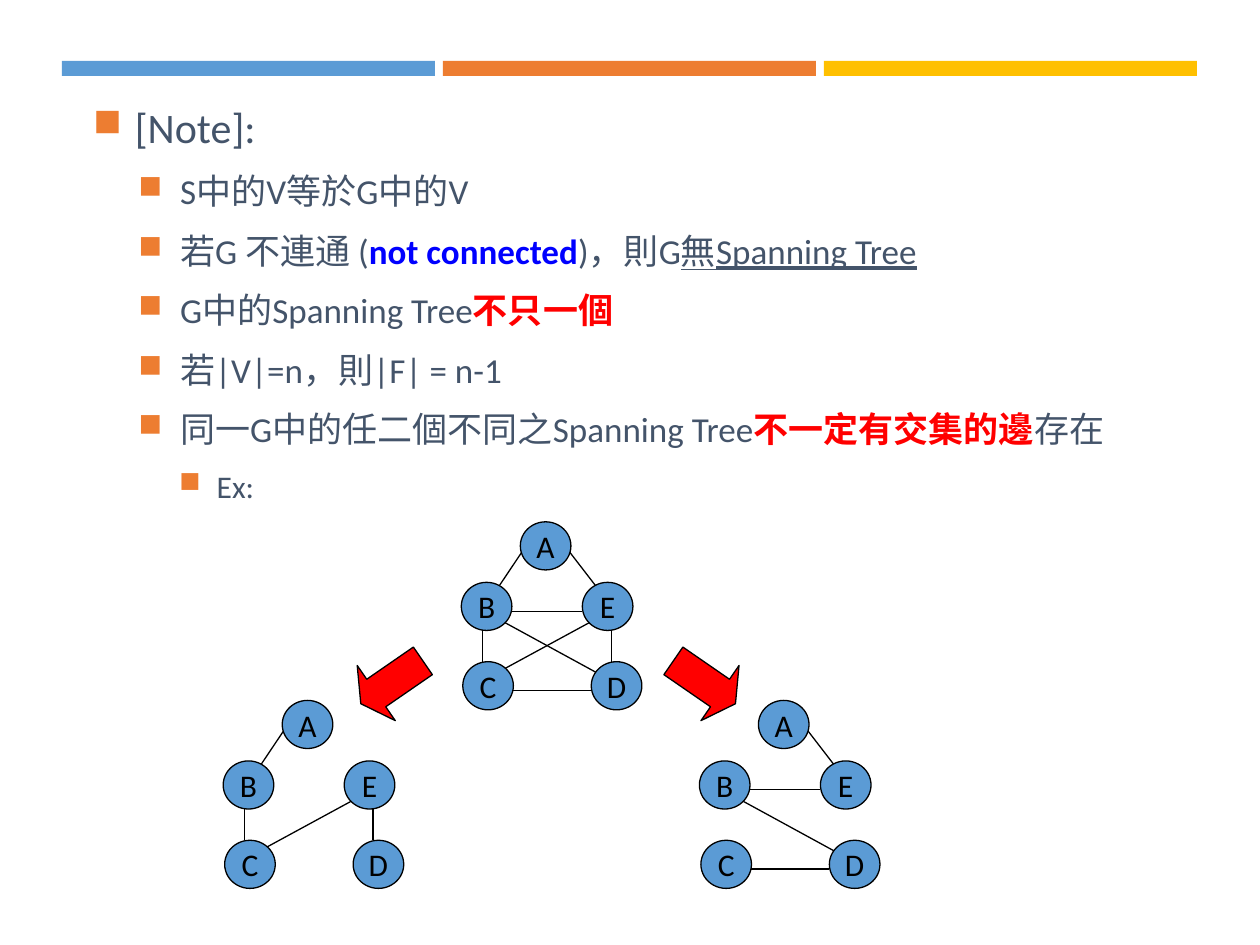
"""Build the slide of notes on spanning trees."""
import pptx
import pptx.util
import pptx.dml.color
import pptx.enum.shapes
import pptx.enum.text
import pptx.oxml.ns
import lxml.etree

Cm, Pt = pptx.util.Cm, pptx.util.Pt
KIND = pptx.enum.shapes.MSO_SHAPE
FONT = "Calibri"
HUES = {"blue": "5B9BD5", "orange": "ED7D31", "gold": "FFC000", "slate": "44546A",
        "link": "0000FF", "red": "FF0000", "black": "000000"}
LEVELS = [(24, 0.84, 0.84), (20, 1.75, 0.84), (18, 2.49, 0.76)]
NOTES = [
    (0, [("[Note]:", "")]),
    (1, [("S中的V等於G中的V", "")]),
    (1, [("若G 不連通 (", ""), ("not connected", "link"), (")，則G", ""),
         ("無Spanning Tree", "under")]),
    (1, [("G中的Spanning Tree", ""), ("不只一個", "red")]),
    (1, [("若|V|=n，則|F| = n-1", "")]),
    (1, [("同一G中的任二個不同之Spanning Tree", ""), ("不一定有交集的邊", "red"), ("存在", "")]),
    (2, [("Ex:", "")]),
]
NODES = {"A": (1.19, 0), "B": (0, 1.22), "C": (0.03, 2.82), "D": (2.62, 2.82),
         "E": (2.44, 1.22)}
EDGES = {"CD": (2.62, 3.4, 1.02, 3.4), "DE": (3.02, 2.82, 3.02, 2.01),
         "BC": (0.43, 2.82, 0.43, 2.01), "CE": (2.62, 2.01, 0.43, 3.2),
         "BD": (0.84, 2.01, 3.02, 3.2), "BE": (2.44, 1.8, 0.84, 1.8),
         "AE": (2.03, 0.41, 2.97, 1.63), "AB": (1.22, 0.61, 0.71, 1.37)}


def tint(name):
    """Return the named colour."""
    return pptx.dml.color.RGBColor.from_string(HUES[name])


def add_form(shapes, kind, box, fill, line=True):
    """Add a filled preset shape, outlined in black if asked."""
    form = shapes.add_shape(kind, *map(Cm, box))
    form.shadow.inherit = False
    form.fill.solid()
    form.fill.fore_color.rgb = tint(fill)
    if line:
        form.line.color.rgb = tint("black")
        form.line.width = Pt(0.75)
    else:
        form.line.fill.background()
    return form


def add_run(para, text, size, hue):
    """Add one run of text."""
    run = para.add_run()
    run.text = text
    run.font.name = FONT
    run.font.size = Pt(size)
    run.font.color.rgb = tint(hue)
    return run


def add_bars(shapes, left, top, width, height):
    """Place three equal bars across the box."""
    gap = 0.16
    wide = (width - 2 * gap) / 3
    for num, hue in enumerate(("blue", "orange", "gold")):
        box = (left + num * (wide + gap), top, wide, height)
        add_form(shapes, KIND.RECTANGLE, box, hue, False)


def set_bullet(para, left, hang):
    """Give a paragraph a square bullet and a hanging indent."""
    props = para._p.get_or_add_pPr()
    props.set("marL", str(Cm(left)))
    props.set("indent", str(-Cm(hang)))
    tag = pptx.oxml.ns.qn
    color = lxml.etree.SubElement(props, tag("a:buClr"))
    lxml.etree.SubElement(color, tag("a:srgbClr"), val=HUES["orange"])
    lxml.etree.SubElement(props, tag("a:buSzPct"), val="92000")
    lxml.etree.SubElement(props, tag("a:buChar"), char="■")


def add_notes(shapes, box):
    """Write the bulleted notes in the box."""
    frame = shapes.add_textbox(*map(Cm, box)).text_frame
    frame.word_wrap = True
    for num, (level, parts) in enumerate(NOTES):
        para = frame.add_paragraph() if num else frame.paragraphs[0]
        size, left, hang = LEVELS[level]
        para.level = level
        set_bullet(para, left, hang)
        para.space_before = Pt(size * 0.2 if num else 0)
        para.space_after = Pt(6)
        for text, style in parts:
            strong = style in ("link", "red")
            run = add_run(para, text, size, style if strong else "slate")
            run.font.bold = strong
            run.font.underline = style == "under"


def add_graph(shapes, left, top, edges):
    """Draw the five nodes and the chosen edges from the given corner."""
    group = shapes.add_group_shape().shapes
    for edge in edges:
        x1, y1, x2, y2 = EDGES[edge]
        line = group.add_connector(
            pptx.enum.shapes.MSO_CONNECTOR.STRAIGHT,
            Cm(left + x1), Cm(top + y1), Cm(left + x2), Cm(top + y2))
        line.line.color.rgb = tint("black")
        line.line.width = Pt(0.75)
        props = line._element.spPr
        lxml.etree.SubElement(props, pptx.oxml.ns.qn("a:effectLst"))
    for name, (x, y) in NODES.items():
        node = add_form(group, KIND.OVAL, (left + x, top + y, 1.02, 0.97), "blue")
        frame = node.text_frame
        frame.word_wrap = False
        frame.vertical_anchor = pptx.enum.text.MSO_ANCHOR.MIDDLE
        para = frame.paragraphs[0]
        para.alignment = pptx.enum.text.PP_ALIGN.CENTER
        add_run(para, name, 18, "black")


def add_arrow(shapes, kind, box, turn):
    """Place a turned red arrow."""
    arrow = add_form(shapes, kind, box, "red")
    arrow.rotation = turn
    arrow.adjustments[0] = 0.5
    arrow.adjustments[1] = 0.28


def main():
    """Build and save the slide."""
    deck = pptx.Presentation()
    deck.slide_width, deck.slide_height = Cm(25.4), Cm(19.05)
    shapes = deck.slides.add_slide(deck.slide_layouts[6]).shapes
    add_bars(shapes, 1.25, 1.23, 22.88, 0.3)
    add_notes(shapes, (1.63, 1.93, 22.2, 10.08))
    add_graph(shapes, 9.3, 10.52, EDGES)
    add_graph(shapes, 4.5, 14.12, ("DE", "BC", "CE", "AB"))
    add_graph(shapes, 14.1, 14.12, ("CD", "BD", "BE", "AE"))
    add_arrow(shapes, KIND.LEFT_ARROW, (7.14, 13.08, 1.52, 1.35), 325.4)
    add_arrow(shapes, KIND.RIGHT_ARROW, (13.44, 13.08, 1.52, 1.35), 34.6)
    deck.save("out.pptx")


if __name__ == "__main__":
    main()
